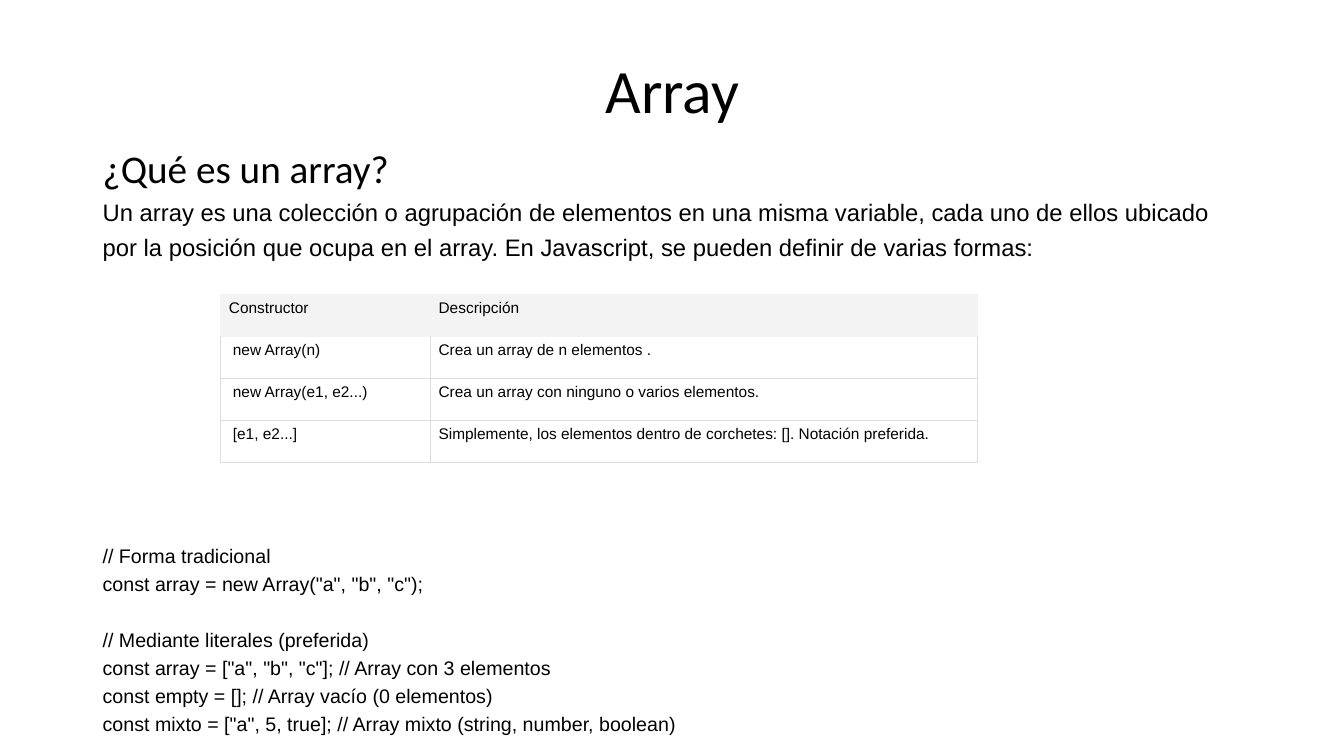
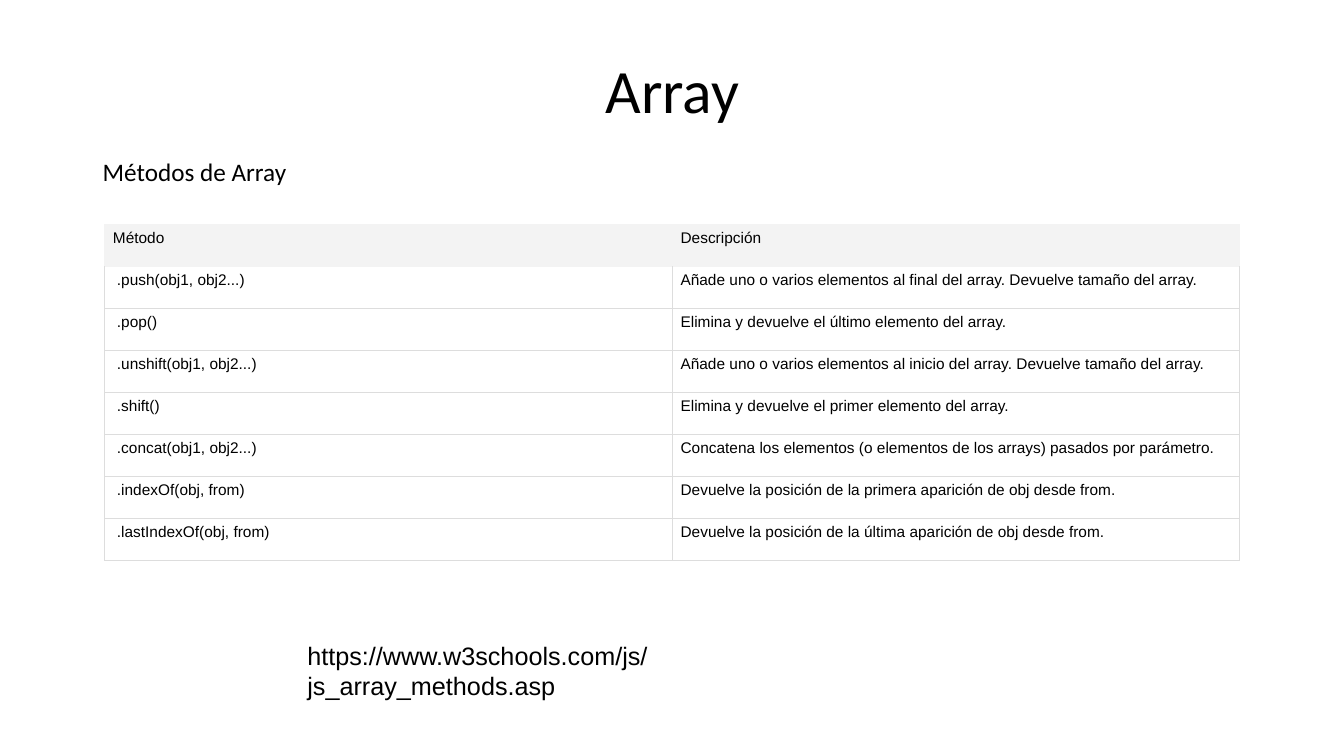
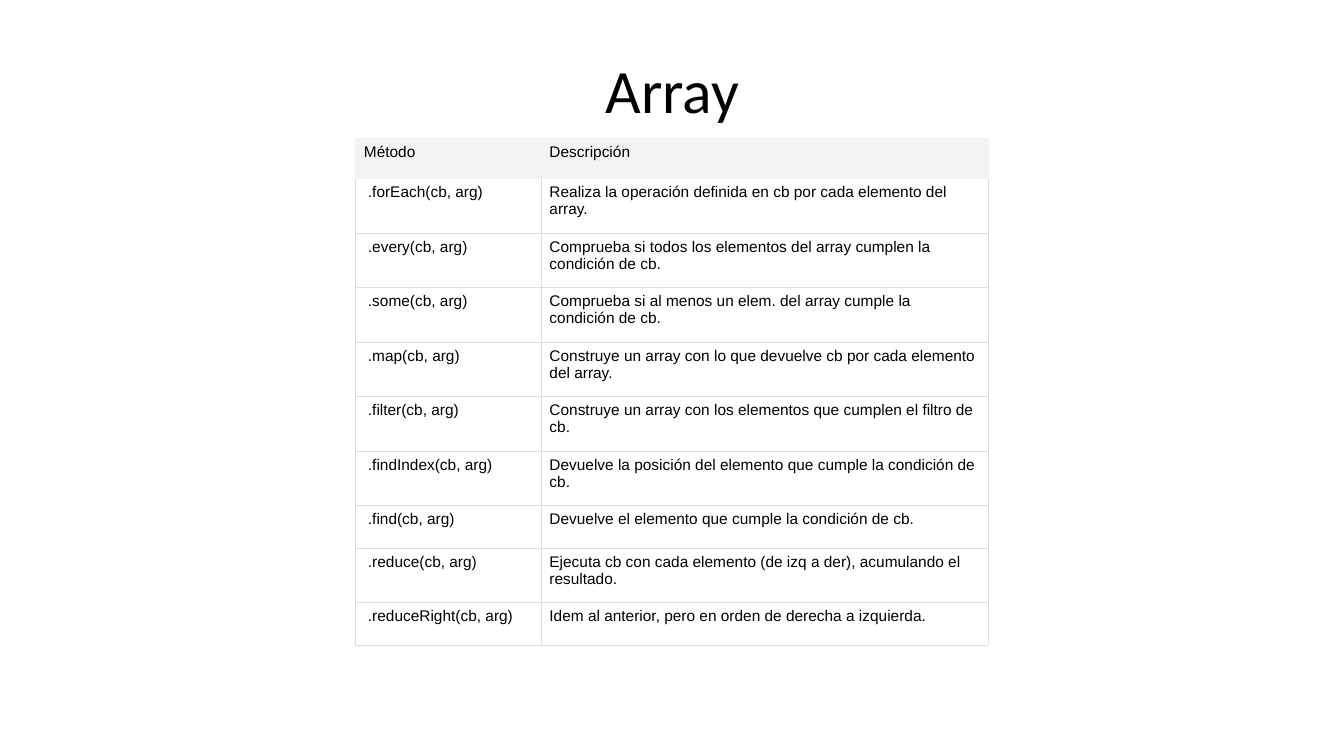
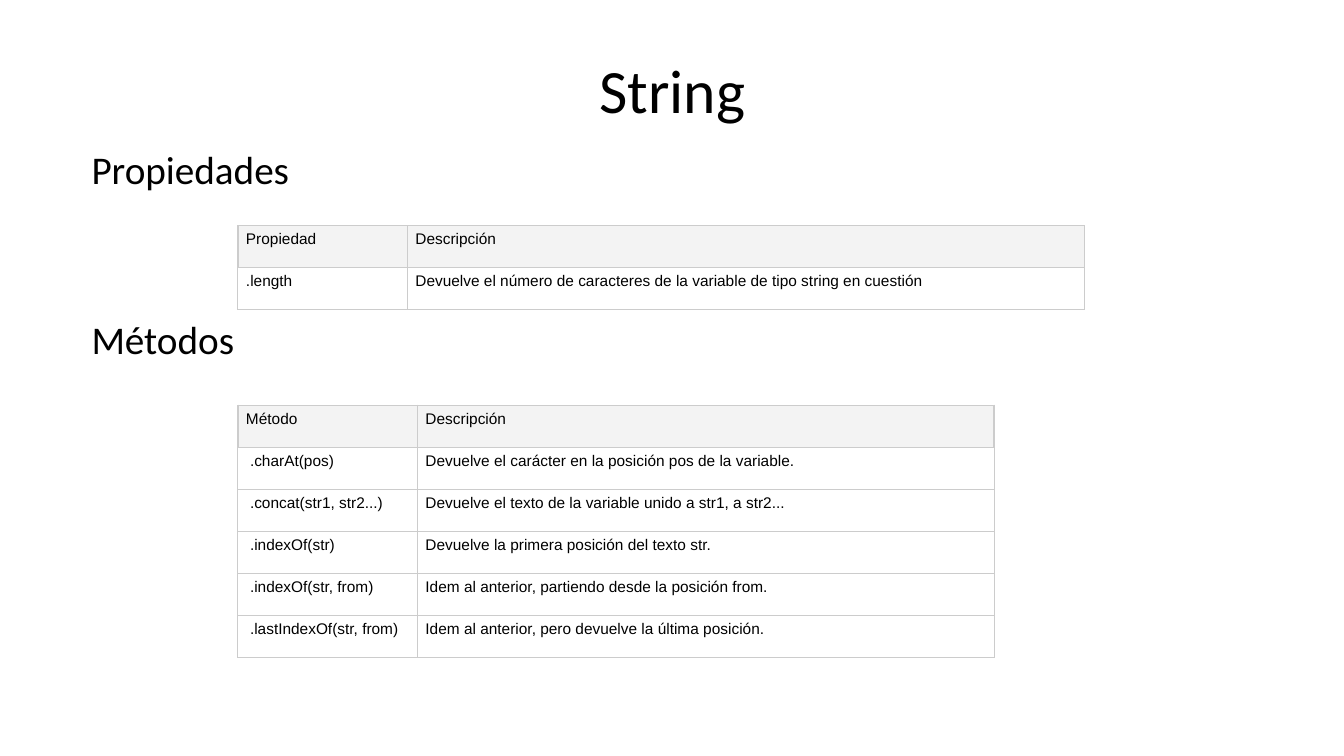
from dataclasses import dataclass

from lxml.etree import SubElement
from pptx import Presentation
from pptx.dml.color import RGBColor
from pptx.enum.text import MSO_ANCHOR as Anchor, PP_ALIGN as Align
from pptx.oxml.ns import qn
from pptx.util import Inches, Pt


@dataclass(frozen=True)
class Theme:
    ink: str = "000000"
    header_fill: str = "F3F3F3"
    pale_rule: str = "DDDDDD"
    dark_rule: str = "CCCCCC"
    heading_font: str = "Calibri"
    body_font: str = "Arial"
    title_size: int = 44
    heading_size: int = 28
    label_size: int = 18
    body_size: int = 17
    code_size: int = 14
    cell_size: int = 11
    header_rule: float = 0.96
    body_rule: float = 0.75


theme = Theme()


def write(frame, text, font=theme.body_font, size=theme.body_size, align=Align.LEFT,
          spacing=1.0, before=0):
    paragraph = frame.paragraphs[0] if not frame.text else frame.add_paragraph()
    paragraph.alignment = align
    paragraph.line_spacing = spacing
    paragraph.space_before = Pt(before)
    run = paragraph.add_run()
    run.text = text
    run.font.name = font
    run.font.size = Pt(size)
    run.font.bold = False
    run.font.color.rgb = RGBColor.from_string(theme.ink)


def draw_border(cell, side, color, width):
    line = SubElement(cell._tc.get_or_add_tcPr(), qn(f"a:ln{side}"), w=str(Pt(width)))
    fill = SubElement(line, qn("a:solidFill"))
    SubElement(fill, qn("a:srgbClr"), val=color)


title_style = dict(font=theme.heading_font, size=theme.title_size, align=Align.CENTER, spacing=0.9)
heading_style = dict(font=theme.heading_font, size=theme.heading_size, spacing=0.9)
label_style = dict(font=theme.heading_font, size=theme.label_size)
intro_style = dict(size=theme.body_size, spacing=1.2)
code_style = dict(size=theme.code_size, spacing=1.2)
code_gap = dict(code_style, before=19.4)
link_style = dict(size=theme.label_size)
pale_rules = dict(header_line=theme.header_fill, line=theme.pale_rule)
dark_rules = dict(header_line=theme.dark_rule, line=theme.dark_rule)

topics = [
    dict(
        title="Array",
        texts=[
            ((0.92, 1.44, 11.5, 1.3), [
                ("¿Qué es un array?", heading_style),
                ("Un array es una colección o agrupación de elementos en una misma variable, "
                 "cada uno de ellos ubicado por la posición que ocupa en el array. "
                 "En Javascript, se pueden definir de varias formas:", intro_style),
            ]),
            ((0.92, 5.3, 11.5, 1.95), [
                ("// Forma tradicional", code_style),
                ('const array = new Array("a", "b", "c");', code_style),
                ("// Mediante literales (preferida)", code_gap),
                ('const array = ["a", "b", "c"]; // Array con 3 elementos', code_style),
                ("const empty = []; // Array vacío (0 elementos)", code_style),
                ('const mixto = ["a", 5, true]; // Array mixto (string, number, boolean)', code_style),
            ]),
        ],
        tables=[
            dict(at=(2.19, 2.92), columns=(2.08, 5.42), height=1.67, indent=0.04, **pale_rules, rows=[
                ("Constructor", "Descripción"),
                ("new Array(n)", "Crea un array de n elementos ."),
                ("new Array(e1, e2...)", "Crea un array con ninguno o varios elementos."),
                ("[e1, e2...]", "Simplemente, los elementos dentro de corchetes: []. Notación preferida."),
            ]),
        ],
    ),
    dict(
        title="Array",
        texts=[
            ((0.92, 1.5, 10.41, 0.5), [("Métodos de Array", label_style)]),
            ((2.95, 6.3, 6.02, 0.7), [("https://www.w3schools.com/js/js_array_methods.asp", link_style)]),
        ],
        tables=[
            dict(at=(1.04, 2.23), columns=(5.63, 5.62), height=3.33, indent=0.04, **pale_rules, rows=[
                ("Método", "Descripción"),
                (".push(obj1, obj2...)", "Añade uno o varios elementos al final del array. Devuelve tamaño del array."),
                (".pop()", "Elimina y devuelve el último elemento del array."),
                (".unshift(obj1, obj2...)", "Añade uno o varios elementos al inicio del array. Devuelve tamaño del array."),
                (".shift()", "Elimina y devuelve el primer elemento del array."),
                (".concat(obj1, obj2...)", "Concatena los elementos (o elementos de los arrays) pasados por parámetro."),
                (".indexOf(obj, from)", "Devuelve la posición de la primera aparición de obj desde from."),
                (".lastIndexOf(obj, from)", "Devuelve la posición de la última aparición de obj desde from."),
            ]),
        ],
    ),
    dict(
        title="Array",
        texts=[],
        tables=[
            dict(at=(3.53, 1.37), columns=(1.84, 4.43), height=5.03, indent=0.04, **pale_rules,
                 weights=[0.4] + [0.54] * 6 + [0.42, 0.54, 0.42], rows=[
                ("Método", "Descripción"),
                (".forEach(cb, arg)", "Realiza la operación definida en cb por cada elemento del array."),
                (".every(cb, arg)", "Comprueba si todos los elementos del array cumplen la condición de cb."),
                (".some(cb, arg)", "Comprueba si al menos un elem. del array cumple la condición de cb."),
                (".map(cb, arg)", "Construye un array con lo que devuelve cb por cada elemento del array."),
                (".filter(cb, arg)", "Construye un array con los elementos que cumplen el filtro de cb."),
                (".findIndex(cb, arg)", "Devuelve la posición del elemento que cumple la condición de cb."),
                (".find(cb, arg)", "Devuelve el elemento que cumple la condición de cb."),
                (".reduce(cb, arg)", "Ejecuta cb con cada elemento (de izq a der), acumulando el resultado."),
                (".reduceRight(cb, arg)", "Idem al anterior, pero en orden de derecha a izquierda."),
            ]),
        ],
    ),
    dict(
        title="String",
        texts=[
            ((0.81, 1.45, 11.5, 0.6), [("Propiedades", heading_style)]),
            ((0.81, 3.13, 11.5, 0.6), [("Métodos", heading_style)]),
        ],
        tables=[
            dict(at=(2.36, 2.24), columns=(1.68, 6.72), height=0.83, indent=0, **dark_rules, rows=[
                ("Propiedad", "Descripción"),
                (".length", "Devuelve el número de caracteres de la variable de tipo string en cuestión"),
            ]),
            dict(at=(2.36, 4.02), columns=(1.78, 5.72), height=2.5, indent=0.04, **dark_rules, rows=[
                ("Método", "Descripción"),
                (".charAt(pos)", "Devuelve el carácter en la posición pos de la variable."),
                (".concat(str1, str2...)", "Devuelve el texto de la variable unido a str1, a str2..."),
                (".indexOf(str)", "Devuelve la primera posición del texto str."),
                (".indexOf(str, from)", "Idem al anterior, partiendo desde la posición from."),
                (".lastIndexOf(str, from)", "Idem al anterior, pero devuelve la última posición."),
            ]),
        ],
    ),
]

deck = Presentation()
deck.slide_width = Inches(13.33)
deck.slide_height = Inches(7.5)

for topic in topics:
    slide = deck.slides.add_slide(deck.slide_layouts[6])
    title = ((0.92, 0.4, 11.5, 1.05), [(topic["title"], title_style)])
    for position, paragraphs in [title] + topic["texts"]:
        frame = slide.shapes.add_textbox(*map(Inches, position)).text_frame
        frame.word_wrap = True
        frame.vertical_anchor = Anchor.MIDDLE if paragraphs is title[1] else Anchor.TOP
        for text, style in paragraphs:
            write(frame, text, **style)

    for listing in topic["tables"]:
        rows, columns = listing["rows"], listing["columns"]
        weights = listing.get("weights", [1] * len(rows))
        left, top = listing["at"]
        grid = slide.shapes.add_table(len(rows), len(columns), Inches(left), Inches(top),
                                      Inches(sum(columns)), Inches(listing["height"])).table
        grid.horz_banding = False
        for column, width in zip(grid.columns, columns):
            column.width = Inches(width)
        for r, (entries, weight) in enumerate(zip(rows, weights)):
            grid.rows[r].height = Inches(listing["height"] * weight / sum(weights))
            header_border = (listing["header_line"], theme.header_rule)
            body_border = (listing["line"], theme.body_rule)
            for c, entry in enumerate(entries):
                cell = grid.cell(r, c)
                indent = listing["indent"] if r > 0 and c == 0 else 0
                cell.margin_left = Inches(0.08 + indent)
                cell.margin_right = Inches(0.08)
                write(cell.text_frame, entry, size=theme.cell_size)
                for side in "LRTB":
                    near_header = r == 0 or (r == 1 and side == "T")
                    draw_border(cell, side, *(header_border if near_header else body_border))
                if r == 0:
                    cell.fill.solid()
                    cell.fill.fore_color.rgb = RGBColor.from_string(theme.header_fill)
                else:
                    cell.fill.background()

deck.save("out.pptx")
